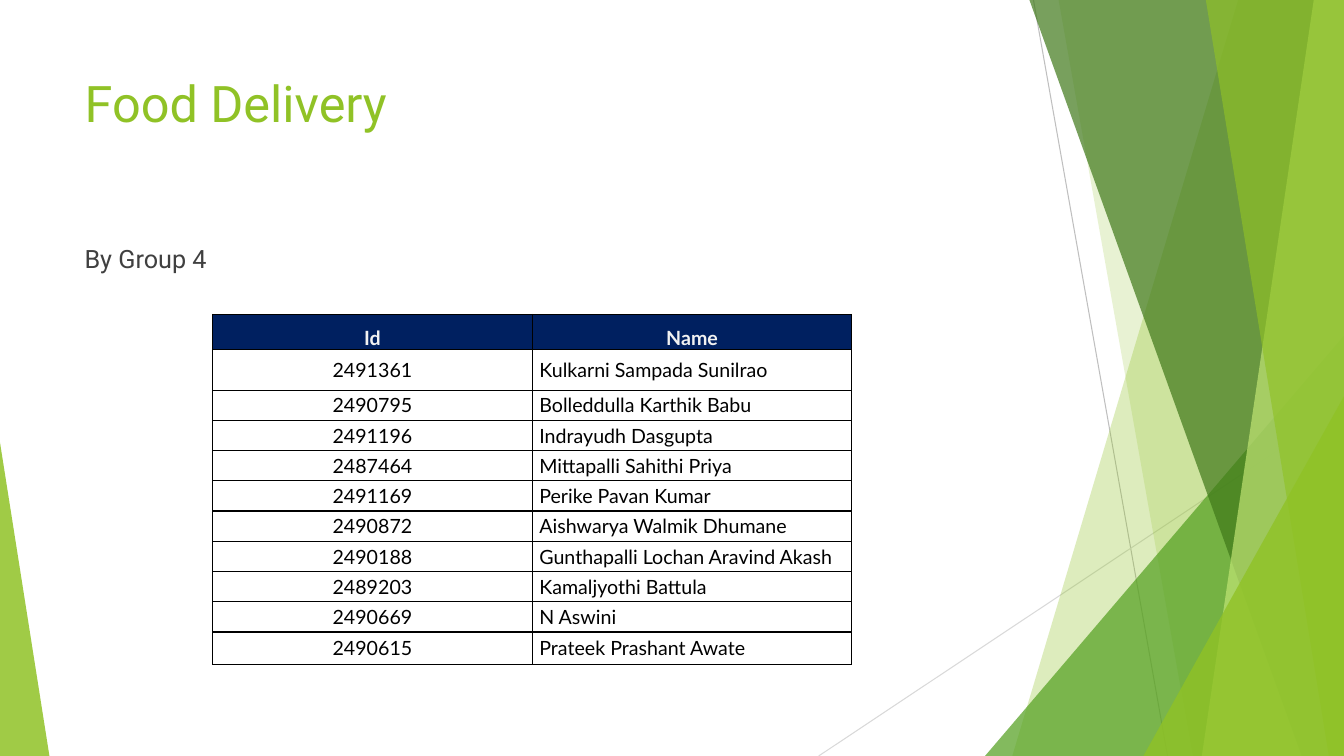
from dataclasses import dataclass

from lxml.etree import SubElement
from pptx import Presentation
from pptx.dml.color import RGBColor
from pptx.enum.shapes import MSO_CONNECTOR, MSO_SHAPE
from pptx.enum.text import MSO_ANCHOR, MSO_AUTO_SIZE, PP_ALIGN
from pptx.oxml.ns import qn
from pptx.shapes.autoshape import Shape
from pptx.slide import Slide
from pptx.table import _Cell
from pptx.text.text import TextFrame
from pptx.util import Inches, Pt


@dataclass(frozen=True)
class Theme:
    lime: str = "90C226"
    pale_lime: str = "C0E474"
    green: str = "54A021"
    dark_green: str = "3F7819"
    body: str = "404040"
    navy: str = "002060"
    header_text: str = "F2F2F2"
    white: str = "FFFFFF"
    black: str = "000000"
    font: str = "Roboto"
    table_font: str = "Lato"
    title_size: int = 36
    body_size: int = 18
    table_size: int = 14


@dataclass(frozen=True)
class Ray:
    start: tuple[float, float]
    end: tuple[float, float]
    color: str


@dataclass(frozen=True)
class Band:
    """A full-height panel with a slanted left edge, ending at the slide's right edge."""
    top_left: float
    bottom_left: float
    color: str
    opacity: int


@dataclass(frozen=True)
class Corner:
    """A right triangle standing on the slide's bottom edge."""
    left: float
    top: float
    width: float
    apex: float
    color: str
    opacity: int


THEME = Theme()
WIDTH, HEIGHT = 13.33, 7.5

RAYS = [
    Ray((10.25, 0), (11.58, HEIGHT), "BFBFBF"),
    Ray((WIDTH, 4.03), (8.12, HEIGHT), "D9D9D9"),
]
FACETS: list[Band | Corner] = [
    Band(12.28, 10.04, THEME.lime, 30),
    Band(10.5, 11.83, THEME.lime, 20),
    Corner(9.77, 3.33, 3.56, 1, THEME.green, 72),
    Band(10.21, 12.91, THEME.dark_green, 70),
    Band(13.03, 11.92, THEME.pale_lime, 70),
    Band(11.96, 13.18, THEME.lime, 65),
    Corner(11.34, 3.93, 1.99, 1, THEME.lime, 80),
    Corner(0, 4.39, 0.49, 0, THEME.lime, 85),
]
MEMBERS = [
    ("Id", "Name"),
    ("2491361", "Kulkarni Sampada Sunilrao"),
    ("2490795", "Bolleddulla Karthik Babu"),
    ("2491196", "Indrayudh Dasgupta"),
    ("2487464", "Mittapalli Sahithi Priya"),
    ("2491169", "Perike Pavan Kumar"),
    ("2490872", "Aishwarya Walmik Dhumane"),
    ("2490188", "Gunthapalli Lochan Aravind Akash"),
    ("2489203", "Kamaljyothi Battula"),
    ("2490669", "N Aswini"),
    ("2490615", "Prateek Prashant Awate"),
]
COLUMN_WIDTH = 3.17
ROW_HEIGHTS = [0.35, 0.4] + [0.3] * 8 + [0.32]


def draw_ray(slide: Slide, ray: Ray) -> None:
    connector = slide.shapes.add_connector(
        MSO_CONNECTOR.STRAIGHT, *map(Inches, ray.start + ray.end))
    connector.line.color.rgb = RGBColor.from_string(ray.color)
    connector.line.width = Pt(0.75)
    SubElement(connector._element.spPr, qn("a:effectLst"))


def build_band(slide: Slide, band: Band) -> Shape:
    builder = slide.shapes.build_freeform(Inches(band.top_left), 0)
    corners = [(WIDTH, 0), (WIDTH, HEIGHT), (band.bottom_left, HEIGHT)]
    builder.add_line_segments([(Inches(x), Inches(y)) for x, y in corners])
    return builder.convert_to_shape()


def build_corner(slide: Slide, corner: Corner) -> Shape:
    shape = slide.shapes.add_shape(
        MSO_SHAPE.ISOSCELES_TRIANGLE, Inches(corner.left), Inches(corner.top),
        Inches(corner.width), Inches(HEIGHT - corner.top))
    shape.adjustments[0] = corner.apex
    return shape


def draw_facet(slide: Slide, facet: Band | Corner) -> None:
    shape = build_band(slide, facet) if isinstance(facet, Band) else build_corner(slide, facet)
    shape.shadow.inherit = False
    shape.line.fill.background()
    shape.fill.solid()
    shape.fill.fore_color.rgb = RGBColor.from_string(facet.color)
    color = shape._element.spPr.find(qn("a:solidFill"))[0]
    SubElement(color, qn("a:alpha"), val=str(facet.opacity * 1000))


def write_text(frame: TextFrame, text: str, font: str, size: int, color: str,
               bold: bool = False, align: PP_ALIGN = PP_ALIGN.LEFT) -> None:
    frame.text = text
    paragraph = frame.paragraphs[0]
    paragraph.alignment = align
    run_font = paragraph.runs[0].font
    run_font.name, run_font.size, run_font.bold = font, Pt(size), bold
    run_font.color.rgb = RGBColor.from_string(color)


def place_text(shape: Shape, top: float, height: float, text: str, size: int, color: str) -> None:
    shape.left, shape.top = Inches(0.74), Inches(top)
    shape.width, shape.height = Inches(9.4), Inches(height)
    frame = shape.text_frame
    frame.word_wrap = True
    frame.auto_size = MSO_AUTO_SIZE.NONE
    frame.vertical_anchor = MSO_ANCHOR.TOP
    write_text(frame, text, THEME.font, size, color)


def add_borders(cell: _Cell) -> None:
    properties = cell._tc.get_or_add_tcPr()
    for index, side in enumerate(("a:lnL", "a:lnR", "a:lnT", "a:lnB")):
        line = properties.makeelement(qn(side), {"w": str(Pt(1))})
        fill = SubElement(line, qn("a:solidFill"))
        SubElement(fill, qn("a:srgbClr"), val=THEME.black)
        properties.insert(index, line)


def format_cell(cell: _Cell, text: str, is_header: bool, centered: bool) -> None:
    cell.margin_left = cell.margin_right = Inches(0.07)
    cell.margin_top = cell.margin_bottom = 0
    cell.vertical_anchor = MSO_ANCHOR.BOTTOM if is_header else MSO_ANCHOR.MIDDLE
    cell.fill.solid()
    cell.fill.fore_color.rgb = RGBColor.from_string(THEME.navy if is_header else THEME.white)
    write_text(cell.text_frame, text, THEME.table_font, THEME.table_size,
               THEME.header_text if is_header else THEME.black, is_header,
               PP_ALIGN.CENTER if centered else PP_ALIGN.LEFT)
    add_borders(cell)


def draw_members(slide: Slide) -> None:
    table = slide.shapes.add_table(
        len(MEMBERS), 2, Inches(2.11), Inches(3.12),
        Inches(2 * COLUMN_WIDTH), Inches(sum(ROW_HEIGHTS))).table
    for column in table.columns:
        column.width = Inches(COLUMN_WIDTH)
    for row_index, (member, height) in enumerate(zip(MEMBERS, ROW_HEIGHTS)):
        table.rows[row_index].height = Inches(height)
        is_header = row_index == 0
        for column_index, text in enumerate(member):
            format_cell(table.cell(row_index, column_index), text, is_header,
                        centered=is_header or column_index == 0)


def main() -> None:
    presentation = Presentation()
    presentation.slide_width, presentation.slide_height = Inches(WIDTH), Inches(HEIGHT)
    slide = presentation.slides.add_slide(presentation.slide_layouts[5])
    for ray in RAYS:
        draw_ray(slide, ray)
    for facet in FACETS:
        draw_facet(slide, facet)
    place_text(slide.shapes.title, 0.67, 1.44, "Food Delivery", THEME.title_size, THEME.lime)
    subtitle = slide.shapes.add_textbox(0, 0, 0, 0)
    place_text(subtitle, 2.36, 0.75, "By Group 4", THEME.body_size, THEME.body)
    draw_members(slide)
    presentation.save("out.pptx")


if __name__ == "__main__":
    main()
